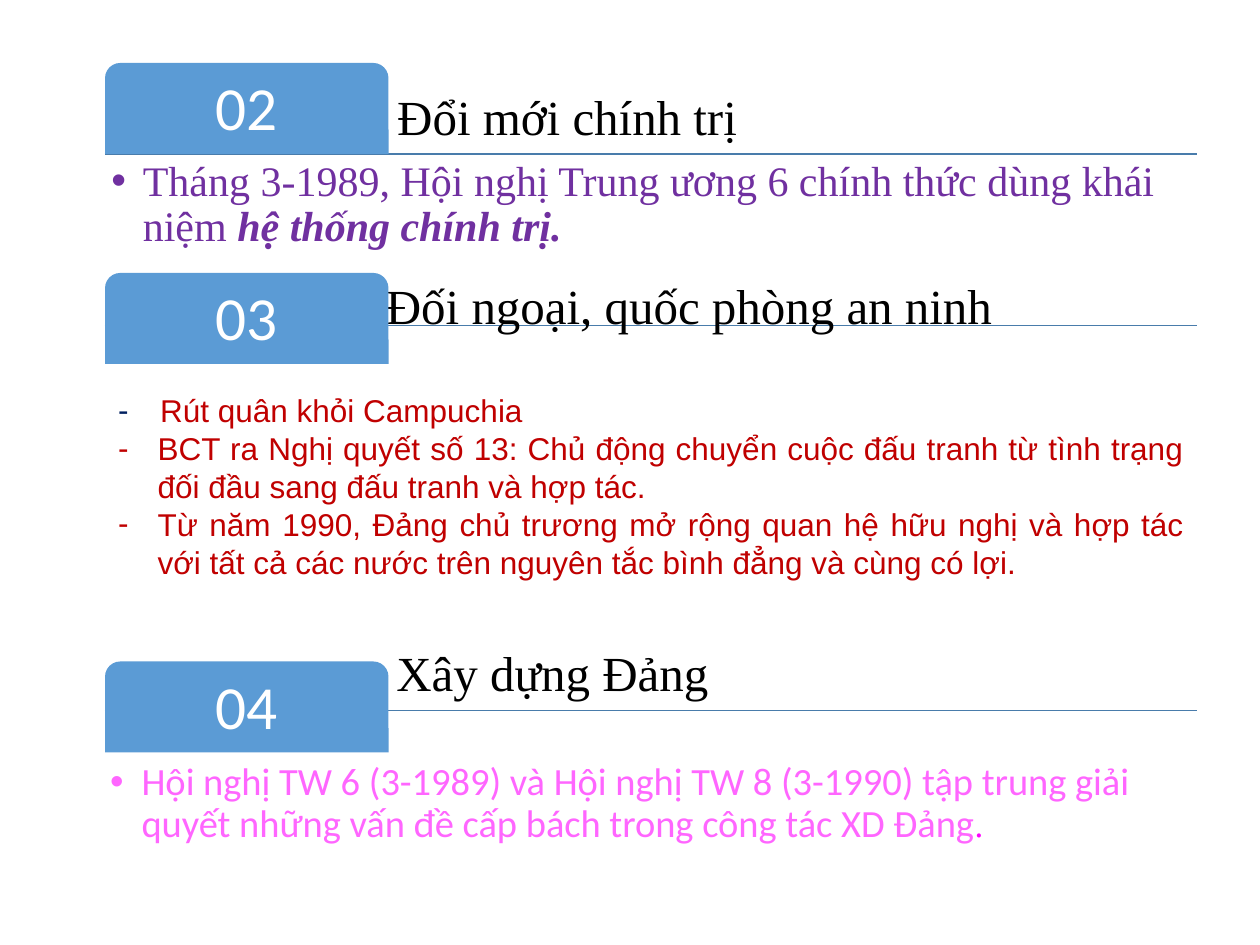
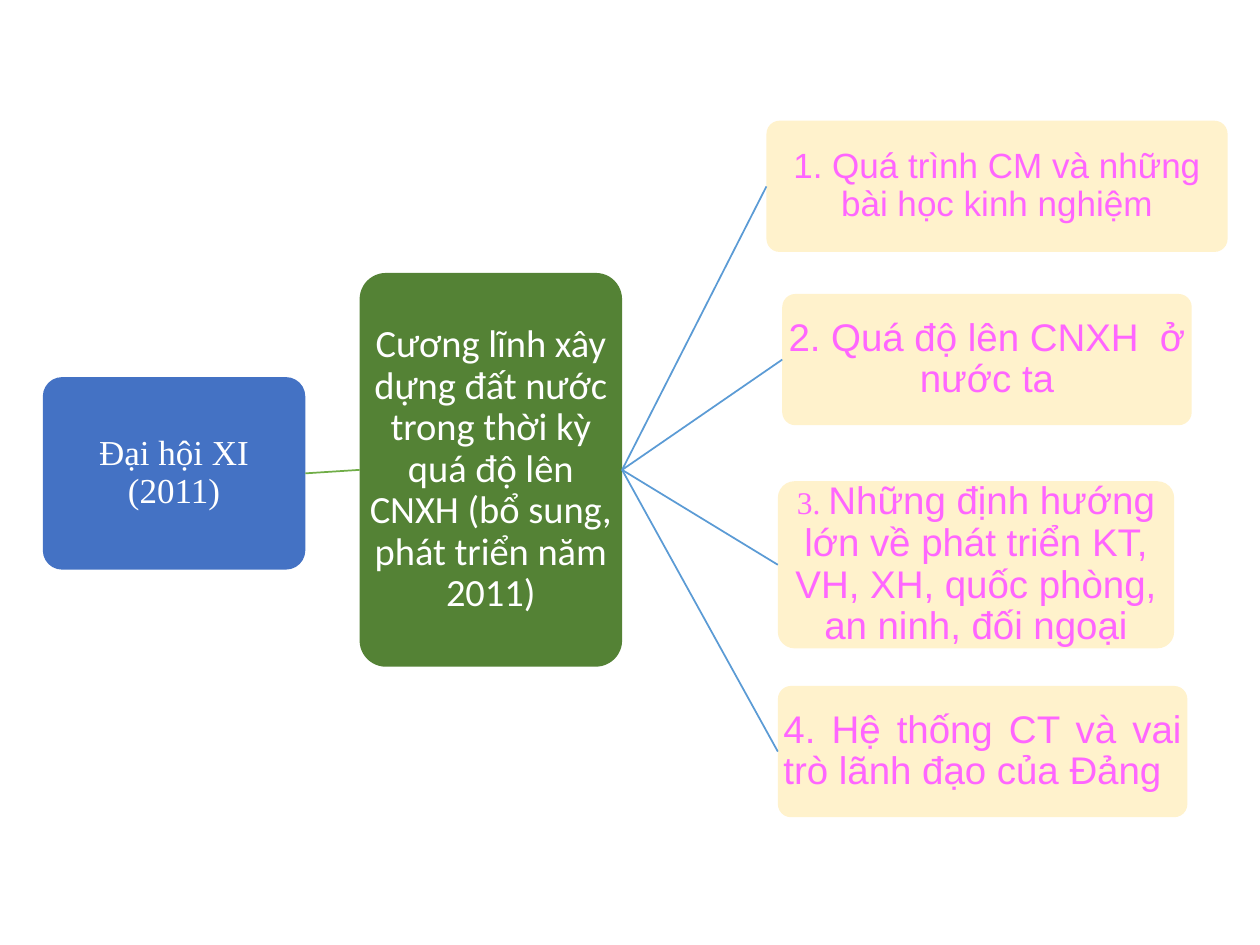
from dataclasses import dataclass

from lxml.etree import SubElement as Sub
from pptx import Presentation
from pptx.dml.color import RGBColor as Rgb
from pptx.enum.shapes import MSO_CONNECTOR as Link, MSO_SHAPE as Kind
from pptx.enum.text import MSO_ANCHOR as Anchor, PP_ALIGN as Align
from pptx.oxml.ns import qn
from pptx.util import Pt


@dataclass(frozen=True)
class Theme:
    # Colours
    black: str = "000000"
    white: str = "FFFFFF"
    sky: str = "5B9BD5"
    steel: str = "497CAB"
    blue: str = "4472C4"
    navy: str = "002060"
    green: str = "548235"
    leaf: str = "70AD47"
    cream: str = "FFF2CC"
    pink: str = "FF66FF"
    fuchsia: str = "FF00FF"
    red: str = "C00000"
    purple: str = "7030A0"
    # Fonts
    serif: str = "Times New Roman"
    sans: str = "Arial"
    body: str = "Calibri"
    # Type sizes
    number: int = 35
    title: int = 28
    lead: int = 24
    text: int = 22
    small: int = 20
    note: int = 18


T = Theme()


# Text

def style(font, face, size, color):
    font.name, font.size = face, Pt(size)
    font.color.rgb = Rgb.from_string(color)


def setup(shape, pad, anchor):
    frame = shape.text_frame
    frame.word_wrap = True
    frame.vertical_anchor = anchor
    frame.margin_left = frame.margin_right = Pt(pad)
    frame.margin_top = frame.margin_bottom = Pt(pad)
    return frame


def write(para, text, look, align=Align.LEFT, space=0.9):
    para.alignment, para.line_spacing = align, space
    style(para.font, *look)
    run = para.add_run()
    run.text = text
    return run


def bullet(para, mark, indent, color, face=T.sans):
    props = para._p.get_or_add_pPr()
    props.set("marL", str(Pt(indent)))
    props.set("indent", str(-Pt(indent)))
    ink = Sub(props, qn("a:buClr"))
    Sub(ink, qn("a:srgbClr"), val=color)
    Sub(props, qn("a:buFont"), typeface=face)
    Sub(props, qn("a:buChar"), char=mark)


def textbox(slide, box, pad, anchor=Anchor.TOP):
    shape = slide.shapes.add_textbox(*map(Pt, box))
    return setup(shape, pad, anchor)


# Shapes

def block(slide, kind, box, fill, adjust, pad):
    shape = slide.shapes.add_shape(kind, *map(Pt, box))
    shape.shadow.inherit = False
    shape.adjustments[0] = adjust
    shape.fill.solid()
    shape.fill.fore_color.rgb = Rgb.from_string(fill)
    shape.line.fill.background()
    setup(shape, pad, Anchor.MIDDLE)
    return shape


def rule(slide, color, ends=(0, 0, 0, 0)):
    line = slide.shapes.add_connector(Link.STRAIGHT, *map(Pt, ends))
    line.line.width = Pt(1)
    line.line.color.rgb = Rgb.from_string(color)
    Sub(line._element.spPr, qn("a:effectLst"))
    return line


def join(slide, left, right, color):
    line = rule(slide, color)
    line.begin_connect(left, 3)
    line.end_connect(right, 1)


def header(slide, number, title, top, spot, line):
    """Numbered tab with its title and the rule at height line."""
    rule(slide, T.steel, (60, line, 684, line))
    frame = textbox(slide, (*spot, 461.5, 52), 4.5, Anchor.BOTTOM)
    write(frame.paragraphs[0], title, (T.serif, T.title, T.black))
    tab = block(slide, Kind.ROUND_2_SAME_RECTANGLE, (60, top, 162, 52),
                T.sky, 0.167, 5)
    write(tab.text_frame.paragraphs[0], number,
          (T.body, T.number, T.white), Align.CENTER)


def node(slide, box, fill, text, look, align=Align.CENTER):
    shape = block(slide, Kind.ROUNDED_RECTANGLE, box, fill, 0.1, 1)
    write(shape.text_frame.paragraphs[0], text, look, align)
    return shape


# Slides

def reforms(slide):
    header(slide, "02", "Đổi mới chính trị", 36, (222.5, 36), 88)
    header(slide, "03", "Đối ngoại, quốc phòng an ninh", 156, (216, 144), 186)
    header(slide, "04", "Xây dựng Đảng", 378, (222, 354), 406)

    # Politics
    para = textbox(slide, (60, 88, 624, 104), 3.6).paragraphs[0]
    write(para, "Tháng 3-1989, Hội nghị Trung ương 6 chính thức dùng khái niệm ",
          (T.serif, T.lead, T.purple))
    term = para.add_run()
    term.text = "hệ thống chính trị."
    term.font.bold = term.font.italic = True
    bullet(para, "•", 18, T.purple)

    # Foreign affairs
    points = [
        ("Rút quân khỏi Campuchia", 24, T.navy),
        ("BCT ra Nghị quyết số 13: Chủ động chuyển cuộc đấu tranh từ tình "
         "trạng đối đầu sang đấu tranh và hợp tác.", 22.5, T.red),
        ("Từ năm 1990, Đảng chủ trương mở rộng quan hệ hữu nghị và hợp tác "
         "với tất cả các nước trên nguyên tắc bình đẳng và cùng có lợi.",
         22.5, T.red),
    ]
    frame = textbox(slide, (60.5, 210, 623, 135.5), 7.2, Anchor.MIDDLE)
    for i, (text, indent, color) in enumerate(points):
        para = frame.add_paragraph() if i else frame.paragraphs[0]
        write(para, text, (T.sans, T.note, T.red), Align.JUSTIFY, 1.0)
        bullet(para, "-", indent, color)

    # Party building
    para = textbox(slide, (60, 433, 624, 77), 2.9).paragraphs[0]
    write(para, "Hội nghị TW 6 (3-1989) và Hội nghị TW 8 (3-1990) tập trung "
          "giải quyết những vấn đề cấp bách trong công tác XD Đảng",
          (T.body, T.text, T.pink))
    stop = para.add_run()
    stop.text = "."
    style(stop.font, T.serif, T.small, T.fuchsia)
    bullet(para, "•", 18, T.pink)


def congress(slide):
    # Trunk
    root = node(slide, (24.5, 215.5, 150, 110), T.blue, "Đại hội XI (2011)",
                (T.serif, T.small, T.white))
    plan = node(slide, (205.5, 156, 150, 225), T.green,
                "Cương lĩnh xây dựng đất nước trong thời kỳ quá độ lên CNXH "
                "(bổ sung, phát triển năm 2011)",
                (T.body, T.text, T.white))
    join(slide, root, plan, T.leaf)

    # Branches
    parts = [
        ((438, 69, 263.5, 75), "1. Quá trình CM và những bài học kinh nghiệm",
         T.small, Align.CENTER),
        ((447, 168, 234, 75), "2. Quá độ lên CNXH  ở nước ta",
         T.text, Align.CENTER),
        ((444.5, 275, 226.5, 95.5), "3. ", T.text, Align.CENTER),
        ((444.5, 392, 234, 75), "4. Hệ thống CT và vai trò lãnh đạo của Đảng",
         T.text, Align.JUSTIFY),
    ]
    nodes = []
    for box, text, size, align in parts:
        part = node(slide, box, T.cream, text, (T.sans, size, T.pink), align)
        join(slide, plan, part, T.sky)
        nodes.append(part)

    # The third branch has a smaller serif number
    para = nodes[2].text_frame.paragraphs[0]
    style(para.runs[0].font, T.serif, T.note, T.pink)
    para.add_run().text = ("Những định hướng lớn về phát triển KT, VH, XH, "
                           "quốc phòng, an ninh, đối ngoại")


def main():
    deck = Presentation()
    deck.slide_width, deck.slide_height = Pt(720), Pt(540)
    for draw in (reforms, congress):
        draw(deck.slides.add_slide(deck.slide_layouts[6]))
    deck.save("out.pptx")


if __name__ == "__main__":
    main()
